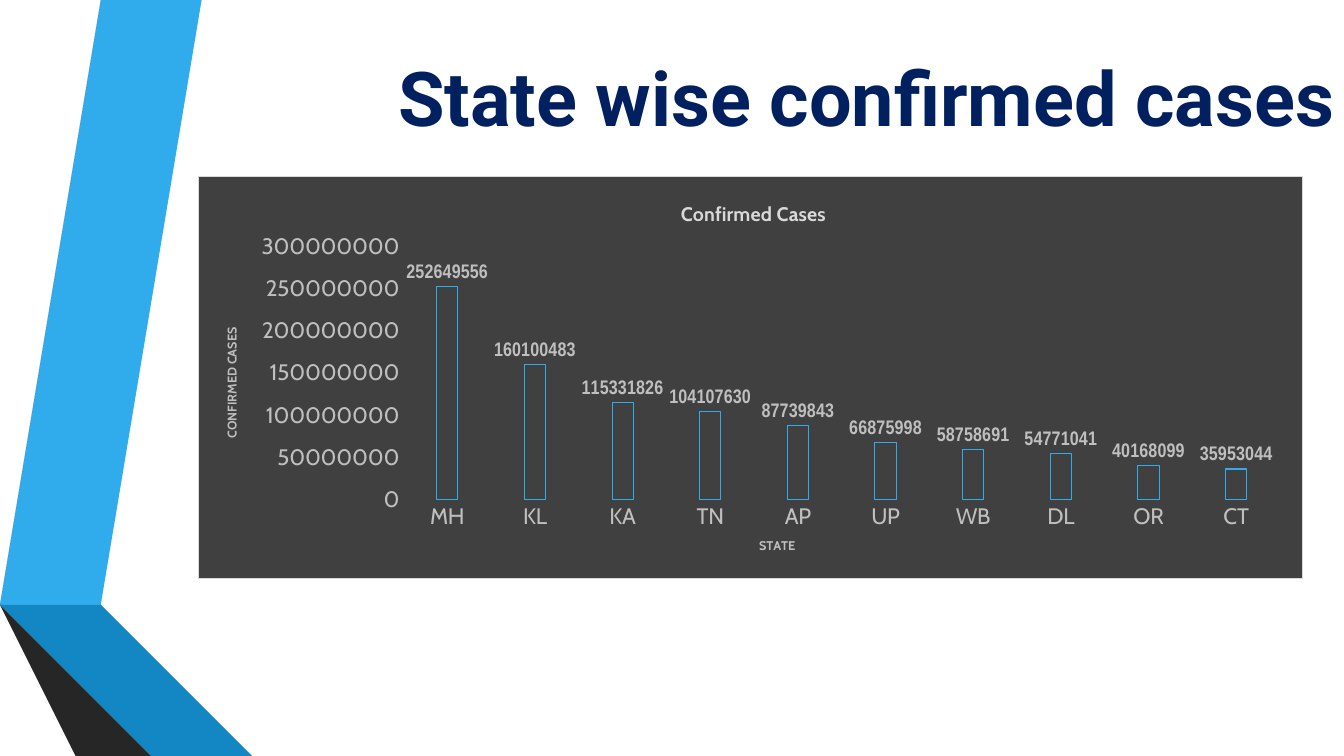
import pptx
import pptx.chart.data
import pptx.dml.color
import pptx.enum.chart
import pptx.enum.text
import pptx.oxml
import pptx.oxml.ns
import pptx.util

RGBColor = pptx.dml.color.RGBColor
Inches = pptx.util.Inches
Pt = pptx.util.Pt

SKY = RGBColor(0x30, 0xAC, 0xEC)
BLUE = RGBColor(0x12, 0x87, 0xC3)
DEEP_BLUE = RGBColor(0x0C, 0x5A, 0x82)
GREY = RGBColor(0x59, 0x59, 0x59)
CHARCOAL = RGBColor(0x40, 0x40, 0x40)
BLACKISH = RGBColor(0x26, 0x26, 0x26)
NAVY = RGBColor(0x00, 0x20, 0x60)
SILVER = RGBColor(0xBF, 0xBF, 0xBF)
PALE = RGBColor(0xD9, 0xD9, 0xD9)

HEADING = "State wise confirmed cases"
CASES_BY_STATE = {
    "MH": 252649556, "KL": 160100483, "KA": 115331826, "TN": 104107630,
    "AP": 87739843, "UP": 66875998, "WB": 58758691, "DL": 54771041,
    "OR": 40168099, "CT": 35953044,
}
# Ribbon outlines in inches, back to front
RIBBONS = [
    (SKY, [(0.5, 5.78), (0.77, 5.83), (1.73, 0), (1.45, 0)]),
    (GREY, [(1.39, 0), (1.11, 0), (0.16, 5.73), (0.44, 5.77)]),
    (BLACKISH, [(0.16, 5.73), (1.45, 7.5), (1.51, 7.5)]),
    (DEEP_BLUE, [(0.5, 5.79), (2.08, 7.5), (2.14, 7.5)]),
    (BLUE, [(0.5, 5.79), (2.14, 7.5), (2.83, 7.5), (0.77, 5.83), (0.5, 5.78)]),
    (CHARCOAL, [(2.02, 7.5), (0.48, 5.83), (0.43, 5.78), (0.44, 5.77),
                (0.16, 5.73), (1.51, 7.5)]),
]
# Places inside the chart, as shares of its width and height
PLOT_PLACE = {"x": 0.186, "y": 0.174, "w": 0.794, "h": 0.63}
CHART_TITLE_PLACE = {"x": 0.434, "y": 0.05}
STATE_TITLE_PLACE = {"x": 0.506, "y": 0.89}
CASES_TITLE_PLACE = {"x": 0.02, "y": 0.37}


def manual_layout(place, inner=False):
    target = '<c:layoutTarget val="inner"/>' if inner else ""
    modes = "".join(f'<c:{key}Mode val="edge"/>' for key in "xy")
    shares = "".join(f'<c:{key} val="{share}"/>' for key, share in place.items())
    return pptx.oxml.parse_xml(
        f'<c:layout {pptx.oxml.ns.nsdecls("c")}><c:manualLayout>'
        f"{target}{modes}{shares}</c:manualLayout></c:layout>")


def drop_layout(parent):
    for layout in parent.xpath("./c:layout"):
        parent.remove(layout)


def style_font(font, size, color, bold=False, name="Cabin"):
    font.name, font.size, font.bold = name, Pt(size), bold
    font.color.rgb = color


def write_title(title, text, size, color, place):
    title.text_frame.text = text
    style_font(title.text_frame.paragraphs[0].font, size, color, bold=True)
    element = title._element
    drop_layout(element)
    element.xpath("./c:tx")[0].addnext(manual_layout(place))


def add_ribbon(shapes, color, points):
    builder = shapes.build_freeform(*points[0], scale=Inches(1))
    builder.add_line_segments(points[1:], close=True)
    ribbon = builder.convert_to_shape()
    ribbon.shadow.inherit = False
    ribbon.fill.solid()
    ribbon.fill.fore_color.rgb = color
    ribbon.line.fill.background()


def add_heading(slide):
    heading = slide.shapes.title
    heading.left, heading.top = Inches(2.38), 0
    heading.width, heading.height = Inches(10.96), Inches(1.92)
    frame = heading.text_frame
    frame.text = HEADING
    frame.word_wrap = True
    frame.auto_size = pptx.enum.text.MSO_AUTO_SIZE.NONE
    frame.vertical_anchor = pptx.enum.text.MSO_ANCHOR.MIDDLE
    frame.paragraphs[0].alignment = pptx.enum.text.PP_ALIGN.RIGHT
    style_font(frame.paragraphs[0].font, 54, NAVY, bold=True, name="Roboto")


def fill_chart_area(chart):
    area = pptx.oxml.parse_xml(
        f'<c:spPr {pptx.oxml.ns.nsdecls("c", "a")}>'
        f'<a:solidFill><a:srgbClr val="{CHARCOAL}"/></a:solidFill>'
        f'<a:ln w="{Pt(0.75)}"><a:solidFill><a:srgbClr val="{PALE}"/></a:solidFill></a:ln>'
        "</c:spPr>")
    chart._chartSpace.chart.addnext(area)


def add_cases_chart(slide):
    cases = pptx.chart.data.CategoryChartData(number_format="General")
    cases.categories = list(CASES_BY_STATE)
    cases.add_series("Series 1", list(CASES_BY_STATE.values()))
    chart = slide.shapes.add_chart(
        pptx.enum.chart.XL_CHART_TYPE.COLUMN_CLUSTERED,
        Inches(1.96), Inches(1.75), Inches(10.96), Inches(3.99), cases).chart
    style_font(chart.font, 10, SILVER)
    chart.has_legend = False
    fill_chart_area(chart)
    write_title(chart.chart_title, "Confirmed Cases", 14, PALE, CHART_TITLE_PLACE)

    for axis, text, place in [
        (chart.category_axis, "STATE", STATE_TITLE_PLACE),
        (chart.value_axis, "CONFIRMED CASES", CASES_TITLE_PLACE),
    ]:
        axis.has_major_gridlines = False
        axis.major_tick_mark = pptx.enum.chart.XL_TICK_MARK.NONE
        axis.minor_tick_mark = pptx.enum.chart.XL_TICK_MARK.NONE
        axis.format.line.fill.background()
        style_font(axis.tick_labels.font, 16, SILVER)
        write_title(axis.axis_title, text, 9, SILVER, place)
    chart.value_axis.minimum_scale = 0
    chart.value_axis.maximum_scale = 300000000
    chart.value_axis.major_unit = 50000000
    upright = chart.value_axis.axis_title._element.xpath(".//a:bodyPr")[0]
    upright.set("rot", "-5400000")
    upright.set("vert", "horz")

    plot_area = chart._chartSpace.chart.plotArea
    drop_layout(plot_area)
    plot_area.insert(0, manual_layout(PLOT_PLACE, inner=True))

    plot = chart.plots[0]
    plot.gap_width, plot.overlap = 315, -40
    plot.vary_by_categories = False
    columns = plot.series[0]
    columns.format.fill.background()
    columns.format.line.color.rgb = SKY
    columns.format.line.width = Pt(0.75)
    labels = columns.data_labels
    labels.show_value = True
    labels.position = pptx.enum.chart.XL_LABEL_POSITION.OUTSIDE_END
    style_font(labels.font, 14, SILVER, bold=True, name="Arial Narrow")


def main():
    deck = pptx.Presentation()
    deck.slide_width, deck.slide_height = Inches(13.33), Inches(7.5)
    slide = deck.slides.add_slide(deck.slide_layouts.get_by_name("Title Only"))
    for color, points in RIBBONS:
        add_ribbon(slide.shapes, color, points)
    add_heading(slide)
    add_cases_chart(slide)
    deck.save("out.pptx")


if __name__ == "__main__":
    main()
